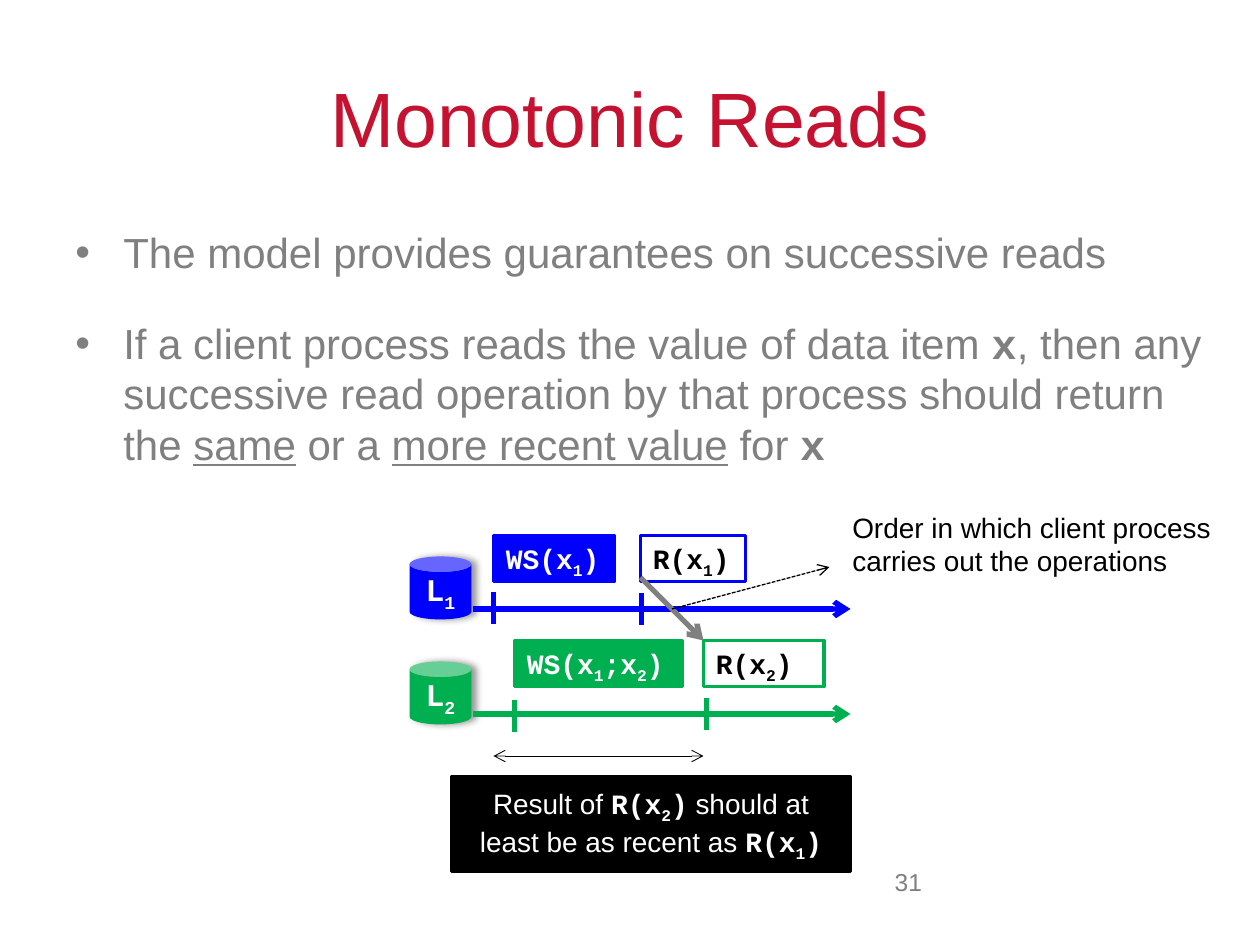
from lxml import etree
from pptx import Presentation
from pptx.dml.color import RGBColor
from pptx.enum.dml import MSO_LINE
from pptx.enum.shapes import MSO_CONNECTOR, MSO_SHAPE
from pptx.enum.text import MSO_ANCHOR, PP_ALIGN
from pptx.oxml.ns import qn
from pptx.util import Inches, Pt

RECT, CAN = MSO_SHAPE.RECTANGLE, MSO_SHAPE.CAN
STRAIGHT, DASH = MSO_CONNECTOR.STRAIGHT, MSO_LINE.SQUARE_DOT
TOP, MIDDLE = MSO_ANCHOR.TOP, MSO_ANCHOR.MIDDLE
LEFT, CENTER, RIGHT = PP_ALIGN.LEFT, PP_ALIGN.CENTER, PP_ALIGN.RIGHT

THEME = {
    "red": "C41230", "gray": "808080", "blue": "0000FF", "green": "00B050",
    "black": "000000", "white": "FFFFFF",
    "sans": "Arial", "mono": "Courier New",
    "title": 44, "body": 24, "can": 18, "label": 16, "number": 14,
}

prs = Presentation()
prs.slide_width, prs.slide_height = Inches(10), Inches(7.5)
s = prs.slides.add_slide(prs.slide_layouts[6])
U = prs.slide_width / 120


def add_text(box, paragraphs, size, color, align=LEFT, anchor=TOP, shape=None, fill=None, line=None):
    x, y, w, h = [round(v * U) for v in box]
    if shape is None:
        sp = s.shapes.add_textbox(x, y, w, h)
    else:
        sp = s.shapes.add_shape(shape, x, y, w, h)
        sp.shadow.inherit = False
        sp.fill.solid()
        sp.fill.fore_color.rgb = RGBColor.from_string(THEME[fill])
        if line:
            sp.line.color.rgb = RGBColor.from_string(THEME[line])
            sp.line.width = Pt(2)
        else:
            sp.line.fill.background()
    tf = sp.text_frame
    tf.word_wrap = True
    tf.vertical_anchor = anchor
    for i, runs in enumerate(paragraphs):
        p = tf.add_paragraph() if i else tf.paragraphs[0]
        p.alignment = align
        for text, style in runs:
            r = p.add_run()
            r.text = text
            mono = style in ("mono", "sub")
            r.font.name = THEME["mono" if mono else "sans"]
            r.font.size = Pt(THEME[size])
            r.font.bold = mono
            r.font.color.rgb = RGBColor.from_string(THEME[color])
            if style == "under":
                r.font.underline = True
            if style == "sub":
                r.font._element.set("baseline", "-25000")
    return sp


def add_line(x1, y1, x2, y2, color, width, ends=(), dash=None):
    c = s.shapes.add_connector(STRAIGHT, *[round(v * U) for v in (x1, y1, x2, y2)])
    c.line.color.rgb = RGBColor.from_string(THEME[color])
    c.line.width = Pt(width)
    if dash:
        c.line.dash_style = dash
    ln = c.line._get_or_add_ln()
    for end in ends:
        etree.SubElement(ln, qn(f"a:{end}"), type="arrow")
    etree.SubElement(c._element.spPr, qn("a:effectLst"))


add_text((6, 3.6, 108, 15), [[("Monotonic Reads", "")]], "title", "red", CENTER, MIDDLE)

bullets = [
    [("The model provides guarantees on successive reads", "")],
    [("If a client process reads the value of data item ", ""), ("x", "mono"),
     (", then any successive read operation by that process should return the ", ""),
     ("same", "under"), (" or a ", ""), ("more recent value", "under"),
     (" for ", ""), ("x", "mono")],
]
sp = add_text((6, 21, 110, 59.4), bullets, "body", "gray")
for i, p in enumerate(sp.text_frame.paragraphs):
    pPr = p._p.get_or_add_pPr()
    pPr.set("marL", str(Inches(0.38)))
    pPr.set("indent", str(-Inches(0.38)))
    p.space_before = Pt(23 * i)
    etree.SubElement(pPr, qn("a:buFont"), typeface=THEME["sans"])
    etree.SubElement(pPr, qn("a:buChar"), char="•")

add_text((78, 82, 11, 6.2), [[("31", "")]], "number", "gray", RIGHT)

READ_1 = [("R(x", "mono"), ("1", "sub"), (")", "mono")]
READ_2 = [("R(x", "mono"), ("2", "sub"), (")", "mono")]
WRITE_1 = [("WS(x", "mono"), ("1", "sub"), (")", "mono")]
WRITE_2 = [("WS(x", "mono"), ("1", "sub"), (";x", "mono"), ("2", "sub"), (")", "mono")]

replicas = [
    ("1", "blue", 51, (47, 11.5, WRITE_1), (61, 10, READ_1), ((47, 5.4), (61.1, 5.5))),
    ("2", "green", 61, (49, 16, WRITE_2), (67, 11.5, READ_2), ((49, 5.7), (67.3, 5.5))),
]
for name, color, top, write, read, ticks in replicas:
    sp = add_text((39, top + 2, 5.9, 6), [[("L", "mono"), (name, "sub")]],
                  "can", "white", CENTER, MIDDLE, CAN, color)
    effects = sp._element.spPr.find(qn("a:effectLst"))
    shadow = etree.SubElement(effects, qn("a:outerShdw"), blurRad=str(Pt(4)), dist=str(Pt(3)),
                              dir="0", algn="l", rotWithShape="0")
    tint = etree.SubElement(shadow, qn("a:srgbClr"), val=THEME["black"])
    etree.SubElement(tint, qn("a:alpha"), val="40000")
    add_line(45, top + 7, 81, top + 7, color, 3, ["tailEnd"])
    for (x, w, runs), fill, ink in ((write, color, "white"), (read, "white", "black")):
        add_text((x, top, w, 4.4), [runs], "label", ink, shape=RECT, fill=fill, line=color)
    for x, dy in ticks:
        add_line(x, top + dy + 3, x, top + dy, color, 3)

add_line(47, 72, 67, 72, "black", 0.5, ["headEnd", "tailEnd"])
result = [("Result of ", "")] + READ_2 + [(" should at least be as recent as ", "")] + READ_1
add_text((43, 74, 38, 9), [result], "label", "white", CENTER, MIDDLE, RECT, "black", "black")
add_line(61, 55, 67, 61, "gray", 3, ["tailEnd"])
add_text((80, 48, 37, 7.7), [[("Order in which client process carries out the operations", "")]],
         "label", "black")
add_line(64, 58, 79, 54, "black", 0.75, ["tailEnd"], DASH)

prs.save("out.pptx")
